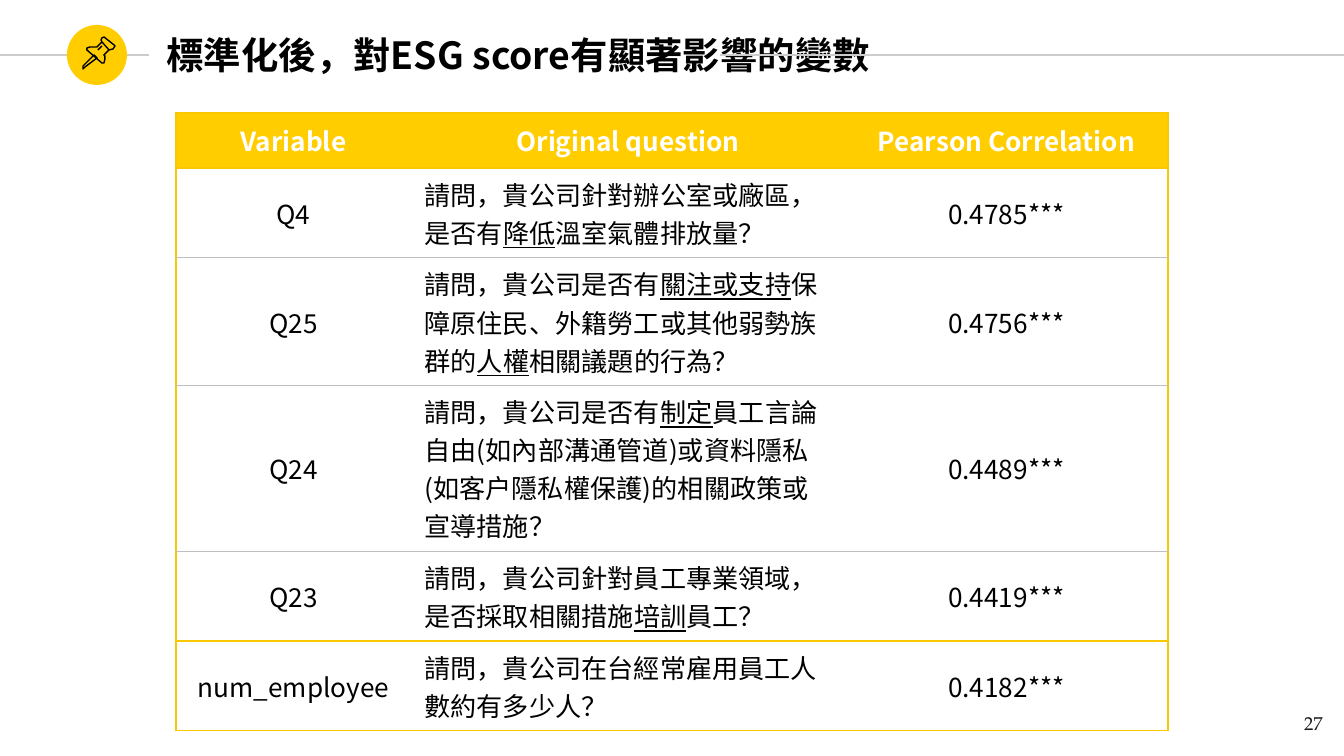
from lxml import etree
from pptx import Presentation
from pptx import util as u
from pptx.dml.color import RGBColor
from pptx.enum import shapes, text
from pptx.oxml.ns import qn

PX = 914400 / 134.4
SANS = "Noto Sans CJK TC"
SERIF = "TeX Gyre Pagella"
BLACK, WHITE, GREY = "000000", "FFFFFF", "CCCCCC"
YELLOW, GOLD, RULE = "FFCD00", "F9C800", "BFBFBF"

HEADER = ["Variable", "Original question", "Pearson Correlation"]
# Every second piece of a question, split at "|", is underlined
ROWS = [
    ("Q4", "請問，貴公司針對辦公室或廠區，是否有|降低|溫室氣體排放量？", "0.4785***"),
    ("Q25", "請問，貴公司是否有|關注或支持|保障原住民、外籍勞工或其他弱勢族群的|人權|相關議題的行為？",
     "0.4756***"),
    ("Q24", "請問，貴公司是否有|制定|員工言論自由(如內部溝通管道)或資料隱私(如客戶隱私權保護)的相關政策或宣導措施？",
     "0.4489***"),
    ("Q23", "請問，貴公司針對員工專業領域，是否採取相關措施|培訓|員工？", "0.4419***"),
    ("num_employee", "請問，貴公司在台經常雇用員工人數約有多少人？", "0.4182***"),
]
COLUMNS = [235, 434, 323]

# Pushpin outlines: points and whether the outline is closed
PIN = [
    ([(94, 55), (83, 66), (83, 69), (85, 67), (97, 58)], True),
    ([(102, 42), (109, 50), (113, 49), (115, 46), (114, 45), (104, 37), (102, 38), (101, 40)], True),
    ([(102, 42), (97, 47), (90, 47), (87, 48), (87, 50), (102, 63), (104, 63),
      (105, 59), (105, 56), (104, 55), (109, 50)], False),
    ([(98, 50), (102, 46)], False),
]


def px(value):
    return u.Emu(round(value * PX))


def color(value):
    return RGBColor.from_string(value)


def style(para, size, font, ink, bold=False, align=text.PP_ALIGN.LEFT):
    para.alignment = align
    para.font.size = u.Pt(size)
    para.font.name = font
    para.font.bold = bold
    para.font.color.rgb = color(ink)
    # East Asian glyphs take the same face
    for props in para._p.iter(qn("a:defRPr")):
        etree.SubElement(props, qn("a:ea")).set("typeface", font)


def frame_text(frame, anchor):
    frame.word_wrap = True
    frame.auto_size = text.MSO_AUTO_SIZE.NONE
    frame.vertical_anchor = anchor
    frame.margin_left = frame.margin_right = u.Inches(0.1)
    frame.margin_top = frame.margin_bottom = u.Inches(0.1)


def add_rule(page, left, right, y):
    rule = page.shapes.add_connector(
        shapes.MSO_CONNECTOR.STRAIGHT, px(left), px(y), px(right), px(y))
    rule.line.color.rgb = color(GREY)
    rule.line.width = u.Pt(0.75)
    etree.SubElement(rule._element.spPr, qn("a:effectLst"))


def add_pin(page):
    badge = page.shapes.add_shape(
        shapes.MSO_SHAPE.OVAL, px(67), px(25), px(60), px(60))
    badge.shadow.inherit = False
    badge.fill.solid()
    badge.fill.fore_color.rgb = color(YELLOW)
    badge.line.fill.background()
    group = page.shapes.add_group_shape()
    for points, closed in PIN:
        builder = group.shapes.build_freeform(*points[0], scale=PX)
        builder.add_line_segments(points[1:], close=closed)
        outline = builder.convert_to_shape()
        outline.shadow.inherit = False
        outline.fill.background()
        outline.line.color.rgb = color(BLACK)
        outline.line.width = u.Pt(0.75)


def set_title(page, words):
    title = page.shapes.title
    title.left, title.top, title.width, title.height = map(px, (153, 21, 979, 68))
    title.text = words
    frame_text(title.text_frame, text.MSO_ANCHOR.MIDDLE)
    style(title.text_frame.paragraphs[0], 20, SANS, BLACK, bold=True)


def set_borders(cell, sides):
    props = cell._tc.get_or_add_tcPr()
    position = 0
    for side in ("L", "R", "T", "B"):
        line = etree.Element(qn("a:ln" + side), w=str(u.Pt(0.75)))
        if sides.get(side):
            fill = etree.SubElement(line, qn("a:solidFill"))
            etree.SubElement(fill, qn("a:srgbClr"), val=sides[side])
        else:
            etree.SubElement(line, qn("a:noFill"))
        props.insert(position, line)
        position += 1


def fill_cell(cell, words, header, align):
    cell.vertical_anchor = text.MSO_ANCHOR.MIDDLE
    if header:
        cell.fill.solid()
        cell.fill.fore_color.rgb = color(YELLOW)
    else:
        cell.fill.background()
    para = cell.text_frame.paragraphs[0]
    for index, piece in enumerate(words.split("|")):
        span = para.add_run()
        span.text = piece
        if index % 2:
            span.font.underline = True
    style(para, 14, SANS, WHITE if header else BLACK, header, align)


def add_variable_table(page):
    rows = [HEADER, *ROWS]
    holder = page.shapes.add_table(
        len(rows), len(COLUMNS), px(176), px(113), px(sum(COLUMNS)), px(530))
    table = holder.table
    table.horz_banding = False
    for column, width in zip(table.columns, COLUMNS):
        column.width = px(width)
    for row in table.rows:
        row.height = px(55)
    holder.height = px(530)

    # Gold frame, with grey rules between the first four questions
    edges = [GOLD, GOLD, RULE, RULE, RULE, GOLD, GOLD]
    for r, values in enumerate(rows):
        for c, words in enumerate(values):
            cell = table.cell(r, c)
            question = r > 0 and c == 1
            align = text.PP_ALIGN.LEFT if question else text.PP_ALIGN.CENTER
            fill_cell(cell, words, r == 0, align)
            set_borders(cell, {
                "L": GOLD if c == 0 else None,
                "R": GOLD if c == len(COLUMNS) - 1 else None,
                "T": edges[r],
                "B": edges[r + 1],
            })


def add_page_number(page, number):
    box = page.shapes.add_textbox(px(1255), px(698), px(81), px(58))
    frame_text(box.text_frame, text.MSO_ANCHOR.TOP)
    para = box.text_frame.paragraphs[0]
    para.text = number
    style(para, 10, SERIF, "1D1D1B", align=text.PP_ALIGN.RIGHT)


def main():
    deck = Presentation()
    deck.slide_width, deck.slide_height = px(1344), px(756)
    page = deck.slides.add_slide(deck.slide_layouts[5])

    # Heading band
    add_rule(page, 0, 149, 55)
    add_rule(page, 720, 1344, 55)
    add_pin(page)
    set_title(page, "標準化後，對ESG score有顯著影響的變數")

    # Content and footer
    add_variable_table(page)
    add_page_number(page, "27")
    deck.save("out.pptx")


if __name__ == "__main__":
    main()
